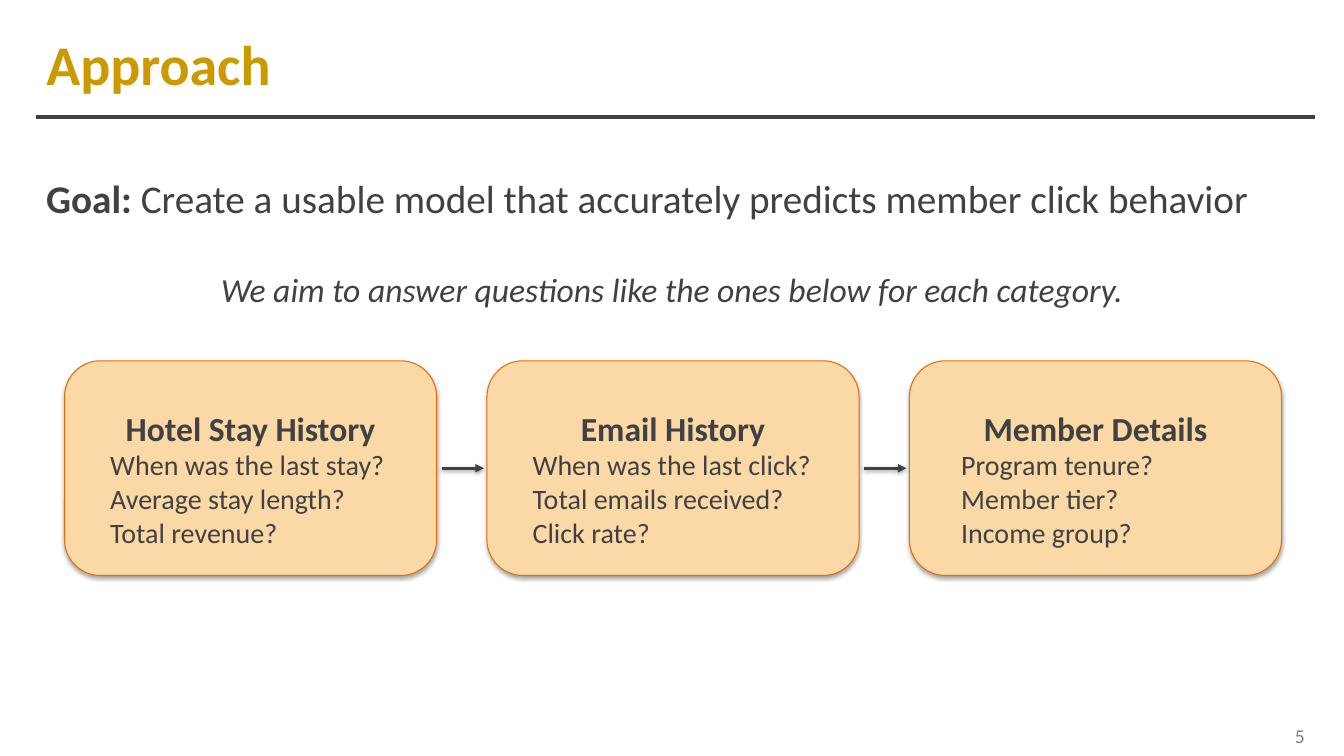
import pptx
import pptx.util
import pptx.dml.color
import pptx.enum.shapes
import pptx.enum.text
import pptx.oxml
import pptx.oxml.ns
from dataclasses import dataclass

Inches, Pt = pptx.util.Inches, pptx.util.Pt
RGB = pptx.dml.color.RGBColor.from_string
Align = pptx.enum.text.PP_ALIGN
Anchor = pptx.enum.text.MSO_ANCHOR
Fit = pptx.enum.text.MSO_AUTO_SIZE
Shape = pptx.enum.shapes.MSO_SHAPE
STRAIGHT = pptx.enum.shapes.MSO_CONNECTOR.STRAIGHT


@dataclass(frozen=True)
class Theme:
    font: str = "Calibri"
    gold: str = "CC9900"
    ink: str = "414042"
    gray: str = "808080"
    fill: str = "FBD9A6"
    edge: str = "E46C0A"
    title: int = 40
    goal: int = 28
    head: int = 24
    body: int = 20
    page: int = 14


theme = Theme()


def write(para, text, size=theme.body, color=theme.ink, bold=False,
          italic=False, align=Align.LEFT):
    """Add one formatted run to a paragraph and align the paragraph."""
    para.alignment = align
    run = para.add_run()
    run.text = text
    font = run.font
    font.name, font.size = theme.font, Pt(size)
    font.bold, font.italic = bold, italic
    font.color.rgb = RGB(color)


def shade(shape, alpha, blur, drop):
    """Give a shape or connector a soft black shadow straight below it."""
    props = shape._element.spPr
    for old in props.findall(pptx.oxml.ns.qn("a:effectLst")):
        props.remove(old)
    props.append(pptx.oxml.parse_xml(
        f'<a:effectLst {pptx.oxml.ns.nsdecls("a")}>'
        f'<a:outerShdw blurRad="{Pt(blur)}" dist="{Pt(drop)}" dir="5400000" rotWithShape="0">'
        f'<a:srgbClr val="000000"><a:alpha val="{alpha * 1000}"/></a:srgbClr>'
        '</a:outerShdw></a:effectLst>'))


deck = pptx.Presentation()
deck.slide_width, deck.slide_height = Inches(13.33), Inches(7.5)
slide = deck.slides.add_slide(deck.slide_layouts[5])
shapes = slide.shapes

# Page grid: outer margins, then three equal columns of cards
left, right = 0.36, 13.04
first, top, wide, high, gap = 0.64, 3.58, 3.69, 2.13, 0.5
step = wide + gap

# Title and rule
title = shapes.title
title.left, title.top = Inches(left), Inches(0.22)
title.width, title.height = Inches(11.32), Inches(0.82)
frame = title.text_frame
frame.auto_size, frame.vertical_anchor = Fit.NONE, Anchor.MIDDLE
write(frame.paragraphs[0], "Approach", size=theme.title, color=theme.gold, bold=True)

rule = shapes.add_connector(STRAIGHT, Inches(left), Inches(1.16), Inches(right), Inches(1.16))
rule.line.color.rgb, rule.line.width = RGB(theme.ink), Pt(3)
rule._element.spPr.append(pptx.oxml.parse_xml(
    f'<a:effectLst {pptx.oxml.ns.nsdecls("a")}/>'))

# Goal, lead-in and page number
goal = shapes.add_textbox(Inches(left), Inches(1.68), Inches(12.52), Inches(0.57)).text_frame
goal.word_wrap, goal.auto_size = True, Fit.SHAPE_TO_FIT_TEXT
write(goal.paragraphs[0], "Goal: ", size=theme.goal, bold=True)
write(goal.paragraphs[0],
      "Create a usable model that accurately predicts member click behavior", size=theme.goal)

lead = shapes.add_textbox(Inches(2.04), Inches(2.62), Inches(9.25), Inches(0.5)).text_frame
lead.word_wrap, lead.auto_size = False, Fit.SHAPE_TO_FIT_TEXT
write(lead.paragraphs[0], "We aim to answer questions like the ones below for each category.",
      size=theme.head, italic=True, align=Align.CENTER)

page = shapes.add_textbox(Inches(right - 3.48), Inches(7.1), Inches(3.48), Inches(0.4)).text_frame
page.word_wrap, page.vertical_anchor = True, Anchor.MIDDLE
write(page.paragraphs[0], "5", size=theme.page, color=theme.gray, align=Align.RIGHT)

# Cards: heading, indent of the questions, questions
cards = [
    ("Hotel Stay History", 0.25,
     ["When was the last stay?", "Average stay length?", "Total revenue?"]),
    ("Email History", 0.25,
     ["When was the last click?", "Total emails received?", "Click rate?"]),
    ("Member Details", 0.31,
     ["Program tenure?", "Member tier?", "Income group?"]),
]
for col, (head, inset, asks) in enumerate(cards):
    card = shapes.add_shape(Shape.ROUNDED_RECTANGLE, Inches(first + col * step), Inches(top),
                            Inches(wide), Inches(high))
    card.fill.solid()
    card.fill.fore_color.rgb = RGB(theme.fill)
    card.line.color.rgb, card.line.width = RGB(theme.edge), Pt(0.75)
    shade(card, alpha=35, blur=3.1, drop=1.8)
    frame = card.text_frame
    frame.word_wrap, frame.vertical_anchor = True, Anchor.MIDDLE
    para = frame.paragraphs[0]
    para.line_spacing = 1.5
    write(para, head, size=theme.head, bold=True, align=Align.CENTER)
    for ask in asks:
        para = frame.add_paragraph()
        props = para._p.get_or_add_pPr()
        props.set("marL", str(Inches(inset)))
        props.set("indent", "0")
        write(para, ask)

# Arrows in the gaps between cards
mid = Inches(top + high / 2)
for col in range(1, len(cards)):
    end = first + col * step
    arrow = shapes.add_connector(STRAIGHT, Inches(end - gap + 0.05), mid, Inches(end - 0.03), mid)
    arrow.line.color.rgb, arrow.line.width = RGB(theme.ink), Pt(2)
    arrow.line._get_or_add_ln().append(pptx.oxml.parse_xml(
        f'<a:tailEnd {pptx.oxml.ns.nsdecls("a")} type="triangle"/>'))
    shade(arrow, alpha=38, blur=3.1, drop=1.6)

deck.save("out.pptx")
